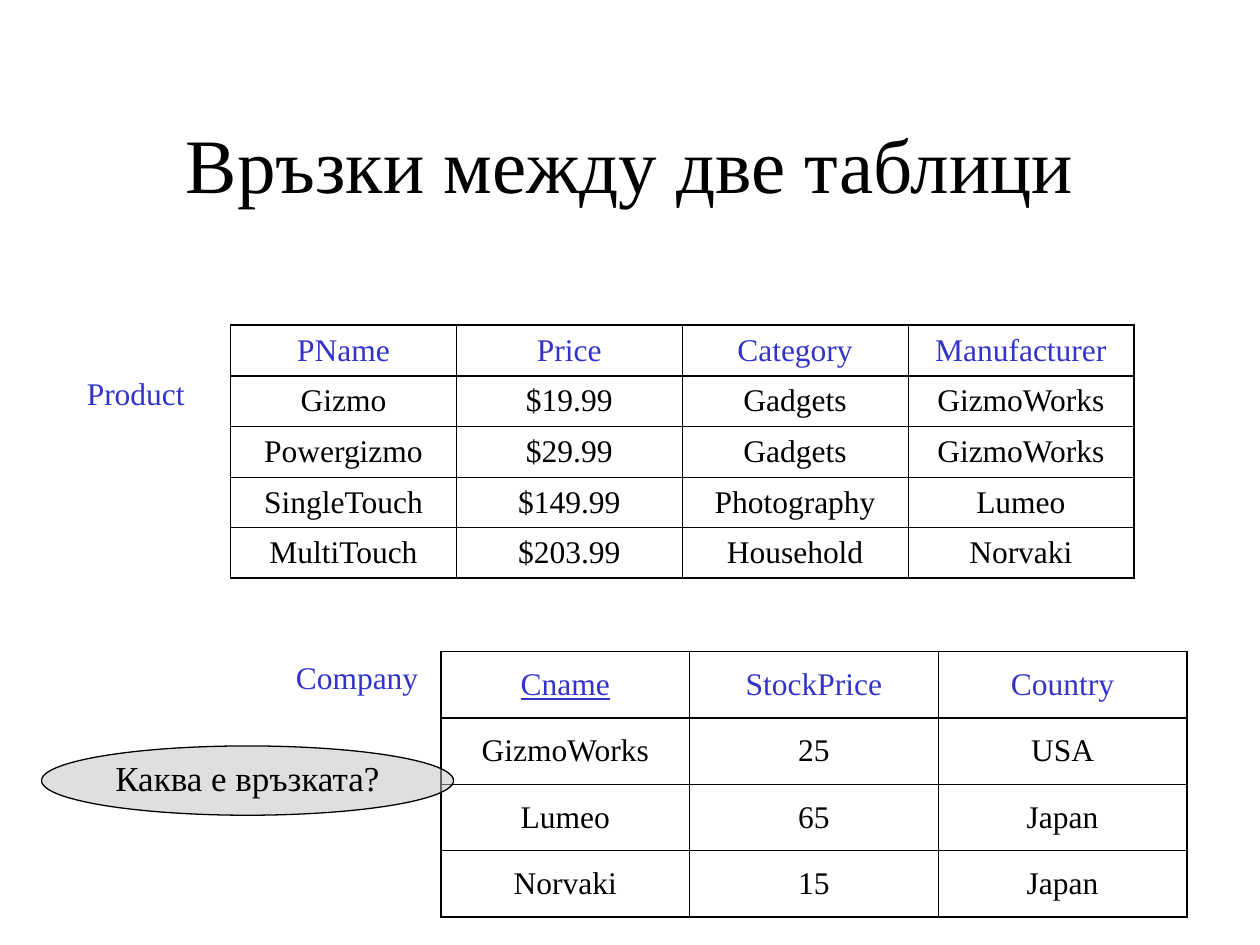
from lxml import etree
from pptx import Presentation
from pptx.dml.color import RGBColor
from pptx.enum.shapes import MSO_SHAPE
from pptx.enum.text import MSO_ANCHOR, MSO_AUTO_SIZE, PP_ALIGN
from pptx.oxml.ns import qn
from pptx.util import Inches, Pt

ELLIPSE = MSO_SHAPE.OVAL
MIDDLE = MSO_ANCHOR.MIDDLE
CENTER = PP_ALIGN.CENTER
GROW = MSO_AUTO_SIZE.SHAPE_TO_FIT_TEXT
BLACK = RGBColor(0x00, 0x00, 0x00)
BLUE = RGBColor(0x33, 0x33, 0xCC)
GRAY = RGBColor(0xC0, 0xC0, 0xC0)
WHITE = RGBColor(0xFF, 0xFF, 0xFF)
THIN, THICK = Pt(0.45), Pt(1.08)

PRODUCTS = [
    ["PName", "Price", "Category", "Manufacturer"],
    ["Gizmo", "$19.99", "Gadgets", "GizmoWorks"],
    ["Powergizmo", "$29.99", "Gadgets", "GizmoWorks"],
    ["SingleTouch", "$149.99", "Photography", "Lumeo"],
    ["MultiTouch", "$203.99", "Household", "Norvaki"],
]
COMPANIES = [
    ["Cname", "StockPrice", "Country"],
    ["GizmoWorks", "25", "USA"],
    ["Lumeo", "65", "Japan"],
    ["Norvaki", "15", "Japan"],
]


class SlideBuilder:
    """Holds the text style and the current slide, and adds its elements."""

    def __init__(self, slide, font_name="Times New Roman"):
        self.slide = slide
        self.font_name = font_name

    def style(self, paragraph, size, color, alignment=None):
        paragraph.alignment = alignment
        paragraph.font.name = self.font_name
        paragraph.font.size = Pt(size)
        paragraph.font.color.rgb = color

    def title(self, text, left, top, width, height):
        shape = self.slide.shapes.title
        shape.left, shape.top = Inches(left), Inches(top)
        shape.width, shape.height = Inches(width), Inches(height)
        shape.text_frame.text = text
        shape.text_frame.vertical_anchor = MIDDLE
        self.style(shape.text_frame.paragraphs[0], 44, BLACK, CENTER)

    def label(self, text, left, top, width, height):
        shape = self.slide.shapes.add_textbox(
            Inches(left), Inches(top), Inches(width), Inches(height))
        shape.text_frame.text = text
        shape.text_frame.word_wrap = False
        shape.text_frame.auto_size = GROW
        self.style(shape.text_frame.paragraphs[0], 18, BLUE)

    def border(self, cell, side, width):
        properties = cell._tc.get_or_add_tcPr()
        line = etree.SubElement(properties, qn(f"a:ln{side}"), w=str(width))
        fill = etree.SubElement(line, qn("a:solidFill"))
        etree.SubElement(fill, qn("a:srgbClr"), val=str(BLACK))

    def table(self, rows, left, top, width, height, fill=None):
        row_count, column_count = len(rows), len(rows[0])
        table = self.slide.shapes.add_table(
            row_count, column_count, Inches(left), Inches(top),
            Inches(width), Inches(height)).table
        table.first_row = table.horz_banding = False
        for row, values in enumerate(rows):
            for column, value in enumerate(values):
                cell = table.cell(row, column)
                cell.text = value
                cell.vertical_anchor = MIDDLE
                self.style(cell.text_frame.paragraphs[0], 18,
                           BLACK if row else BLUE, CENTER)
                thick_sides = {
                    "L": column == 0,
                    "R": column == column_count - 1,
                    "T": row <= 1,
                    "B": row in (0, row_count - 1),
                }
                for side, thick in thick_sides.items():
                    self.border(cell, side, THICK if thick else THIN)
                if fill is None:
                    cell.fill.background()
                else:
                    cell.fill.solid()
                    cell.fill.fore_color.rgb = fill
        return table

    def callout(self, text, left, top, width, height):
        shape = self.slide.shapes.add_shape(
            ELLIPSE, Inches(left), Inches(top), Inches(width), Inches(height))
        shape.shadow.inherit = False
        shape.fill.solid()
        shape.fill.fore_color.rgb = GRAY
        color = shape._element.spPr.find(f"{qn('a:solidFill')}/{qn('a:srgbClr')}")
        etree.SubElement(color, qn("a:alpha"), val="50000")
        shape.line.color.rgb = BLACK
        shape.line.width = Pt(0.75)
        shape.text_frame.text = text
        shape.text_frame.word_wrap = False
        shape.text_frame.vertical_anchor = MIDDLE
        paragraph = shape.text_frame.paragraphs[0]
        paragraph.line_spacing = 0.85
        self.style(paragraph, 20, BLACK, CENTER)


def main():
    presentation = Presentation()
    presentation.slide_width, presentation.slide_height = Inches(10), Inches(7.5)
    slide = presentation.slides.add_slide(presentation.slide_layouts[5])
    builder = SlideBuilder(slide)
    builder.title("Връзки между две таблици", 0.75, 0.67, 8.5, 1.25)
    builder.table(PRODUCTS, 1.83, 2.58, 7.17, 2.01)
    builder.label("Product", 0.59, 2.92, 0.98, 0.4)
    builder.label("Company", 2.25, 5.17, 1.17, 0.4)
    companies = builder.table(COMPANIES, 3.5, 5.17, 5.92, 2.11, WHITE)
    companies.cell(0, 0).text_frame.paragraphs[0].font.underline = True
    builder.callout("Каква е връзката?", 0.33, 5.92, 3.27, 0.55)
    presentation.save("out.pptx")


if __name__ == "__main__":
    main()
